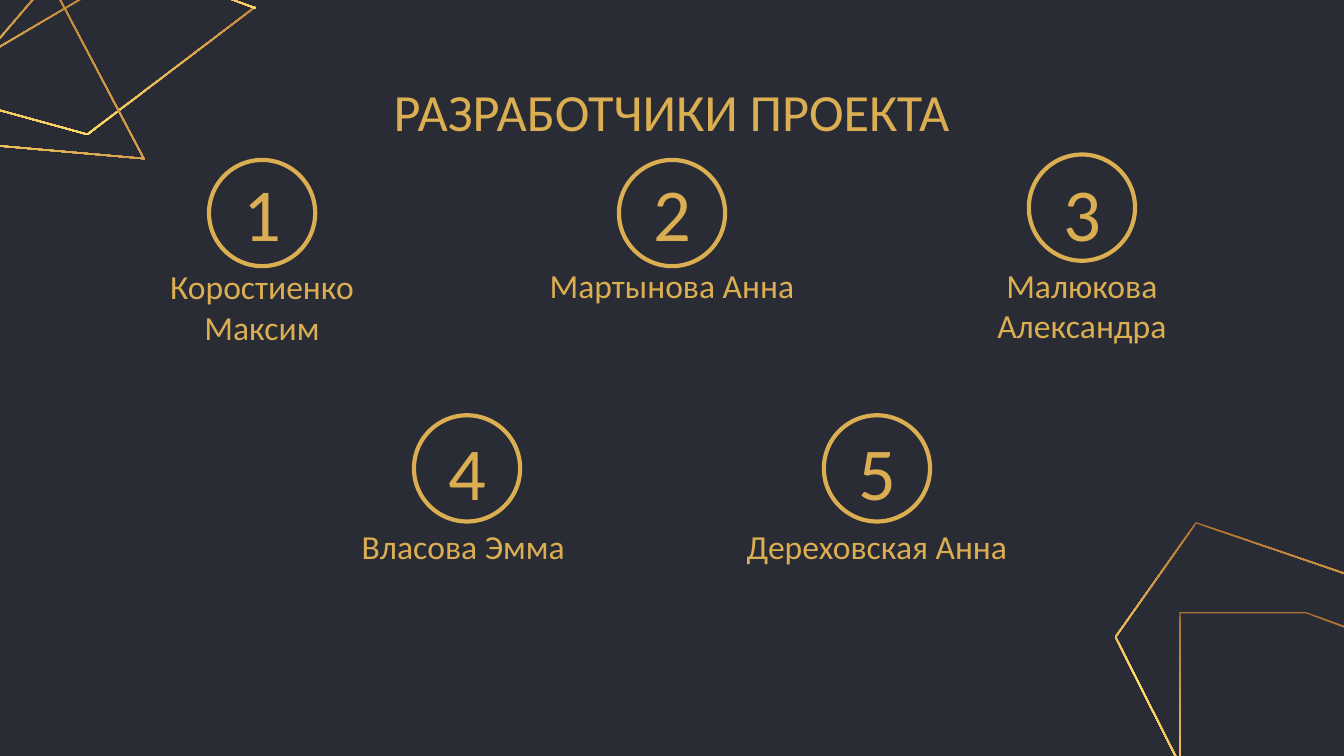
from dataclasses import dataclass
from math import hypot

from pptx import Presentation
from pptx.dml.color import RGBColor
from pptx.enum.shapes import MSO_SHAPE
from pptx.enum.text import MSO_ANCHOR, MSO_AUTO_SIZE, PP_ALIGN
from pptx.oxml import parse_xml
from pptx.oxml.ns import nsdecls, qn
from pptx.shapes.autoshape import Shape
from pptx.slide import Slide
from pptx.util import Inches, Pt

Point = tuple[float, float]


@dataclass(frozen=True)
class Theme:
    background: str = "292C35"
    gold: str = "DCAE52"
    bronze: str = "AF7132"
    light_gold: str = "FFDD6B"
    font: str = "Calibri"
    title_size: int = 28
    number_size: int = 40
    name_size: int = 18
    circle_line: float = 2.25
    ribbon_width: float = 0.01


@dataclass(frozen=True)
class Developer:
    number: int
    name: str
    center: float
    circle_top: float
    number_top: float
    name_top: float
    name_height: float


@dataclass(frozen=True)
class Ribbon:
    points: list[Point]
    colors: tuple[str, ...]
    closed: bool = False
    angle: int = 90


THEME = Theme()
PITCH = 3.05
MIDDLE = 5.0
CIRCLE_SIZE = 0.79
NUMBER_WIDTH = 1.28
NAME_WIDTH = 2.47
UNITS_PER_INCH = 10000  # freeform points are rounded to whole units

DEVELOPERS = [
    Developer(1, "Коростиенко Максим", MIDDLE - PITCH, 1.19, 1.24, 1.98, 0.32),
    Developer(2, "Мартынова Анна", MIDDLE, 1.19, 1.24, 1.97, 0.32),
    Developer(3, "Малюкова Александра", MIDDLE + PITCH, 1.15, 1.24, 1.97, 0.32),
    Developer(4, "Власова Эмма ", MIDDLE - PITCH / 2, 3.09, 3.17, 3.91, 0.25),
    Developer(5, "Дереховская Анна", MIDDLE + PITCH / 2, 3.09, 3.17, 3.91, 0.25),
]

TWO_TONES = (THEME.bronze, THEME.light_gold)
THREE_TONES = (*TWO_TONES, THEME.gold)
RIBBONS = [
    Ribbon([(9.72, 4.56), (11.35, 5.16), (8.35, 7.43), (6.99, 7.05),
            (8.78, 6.0), (8.78, 4.56)], THREE_TONES, closed=True),
    Ribbon([(10.6, 4.47), (8.9, 3.89), (8.3, 4.74), (9.02, 6.17),
            (10.0, 5.87)], THREE_TONES),
    Ribbon([(1.03, -0.26), (-0.55, 0.67), (0.65, 1.0), (1.9, 0.05)], TWO_TONES),
    Ribbon([(1.03, -0.26), (1.9, 0.06)], TWO_TONES),
    Ribbon([(0.37, -0.15), (1.07, 1.18), (-0.64, 1.03)], TWO_TONES,
           closed=True, angle=132),
]


def offset_points(points: list[Point], distance: float, closed: bool) -> list[Point]:
    """Move a polyline sideways, with mitred corners."""
    ends = points[1:] + points[:1] if closed else points[1:]
    normals = []
    for (x1, y1), (x2, y2) in zip(points, ends):
        length = hypot(x2 - x1, y2 - y1)
        normals.append(((y1 - y2) / length, (x2 - x1) / length))
    if closed:
        before, after = normals[-1:] + normals[:-1], normals
    else:
        before, after = normals[:1] + normals, normals + normals[-1:]
    moved = []
    for (x, y), (ax, ay), (bx, by) in zip(points, before, after):
        scale = distance / (1 + ax * bx + ay * by)
        moved.append(((x + (ax + bx) * scale) * UNITS_PER_INCH,
                      (y + (ay + by) * scale) * UNITS_PER_INCH))
    return moved


def fill_gradient(shape: Shape, colors: tuple[str, ...], angle: int) -> None:
    shape.fill.gradient()
    shape.fill.gradient_angle = 360 - angle
    stops = shape._element.spPr.find(qn("a:gradFill")).find(qn("a:gsLst"))
    for stop in list(stops):
        stops.remove(stop)
    for index, color in enumerate(colors):
        position = 100000 * index // (len(colors) - 1)
        stops.append(parse_xml(
            f'<a:gs {nsdecls("a")} pos="{position}"><a:srgbClr val="{color}"/></a:gs>'
        ))


def draw_ribbon(slide: Slide, ribbon: Ribbon) -> None:
    half = THEME.ribbon_width / 2
    left = offset_points(ribbon.points, half, ribbon.closed)
    right = offset_points(ribbon.points, -half, ribbon.closed)[::-1]
    contours = [left, right] if ribbon.closed else [left + right]
    builder = slide.shapes.build_freeform(
        *contours[0][0], scale=Inches(1) / UNITS_PER_INCH)
    builder.add_line_segments(contours[0][1:], close=True)
    for contour in contours[1:]:
        builder.move_to(*contour[0])
        builder.add_line_segments(contour[1:], close=True)
    shape = builder.convert_to_shape()
    shape.shadow.inherit = False
    shape.line.fill.background()
    fill_gradient(shape, ribbon.colors, ribbon.angle)


def write_text(shape: Shape, text: str, size: int, top_inset: float = 0) -> None:
    frame = shape.text_frame
    frame.text = text
    frame.word_wrap = True
    frame.auto_size = MSO_AUTO_SIZE.NONE
    frame.vertical_anchor = MSO_ANCHOR.TOP
    frame.margin_left = frame.margin_right = frame.margin_bottom = Inches(0.1)
    frame.margin_top = Inches(top_inset)
    paragraph = frame.paragraphs[0]
    paragraph.alignment = PP_ALIGN.CENTER
    font = paragraph.runs[0].font
    font.name = THEME.font
    font.size = Pt(size)
    font.color.rgb = RGBColor.from_string(THEME.gold)


def draw_title(slide: Slide, text: str) -> None:
    title = slide.shapes.title
    title.left, title.top = Inches(2.18), Inches(0.59)
    title.width, title.height = Inches(5.63), Inches(0.47)
    write_text(title, text, THEME.title_size, top_inset=0.1)
    title.text_frame.vertical_anchor = MSO_ANCHOR.MIDDLE


def draw_label(slide: Slide, text: str, center: float, top: float,
               width: float, height: float, size: int) -> None:
    box = slide.shapes.add_textbox(
        Inches(center - width / 2), Inches(top), Inches(width), Inches(height))
    write_text(box, text, size)


def draw_developer(slide: Slide, developer: Developer) -> None:
    circle = slide.shapes.add_shape(
        MSO_SHAPE.OVAL, Inches(developer.center - CIRCLE_SIZE / 2),
        Inches(developer.circle_top), Inches(CIRCLE_SIZE), Inches(CIRCLE_SIZE))
    circle.shadow.inherit = False
    circle.fill.background()
    circle.line.color.rgb = RGBColor.from_string(THEME.gold)
    circle.line.width = Pt(THEME.circle_line)
    draw_label(slide, str(developer.number), developer.center,
               developer.number_top, NUMBER_WIDTH, 0.61, THEME.number_size)
    draw_label(slide, developer.name, developer.center, developer.name_top,
               NAME_WIDTH, developer.name_height, THEME.name_size)


def main() -> None:
    presentation = Presentation()
    presentation.slide_width = Inches(10)
    presentation.slide_height = Inches(10 * 9 / 16)
    slide = presentation.slides.add_slide(presentation.slide_layouts[5])
    slide.background.fill.solid()
    slide.background.fill.fore_color.rgb = RGBColor.from_string(THEME.background)
    for ribbon in RIBBONS:
        draw_ribbon(slide, ribbon)
    draw_title(slide, "РАЗРАБОТЧИКИ ПРОЕКТА")
    for developer in DEVELOPERS:
        draw_developer(slide, developer)
    presentation.save("out.pptx")


if __name__ == "__main__":
    main()
